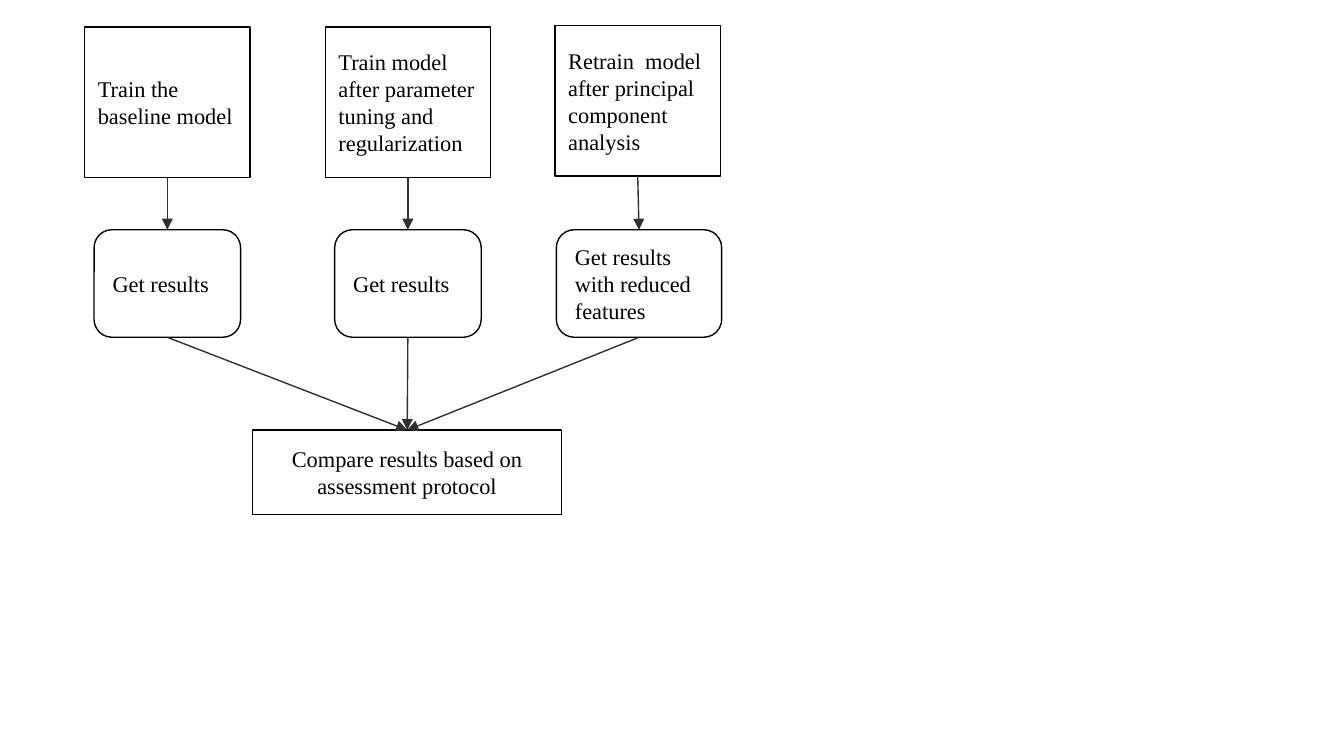
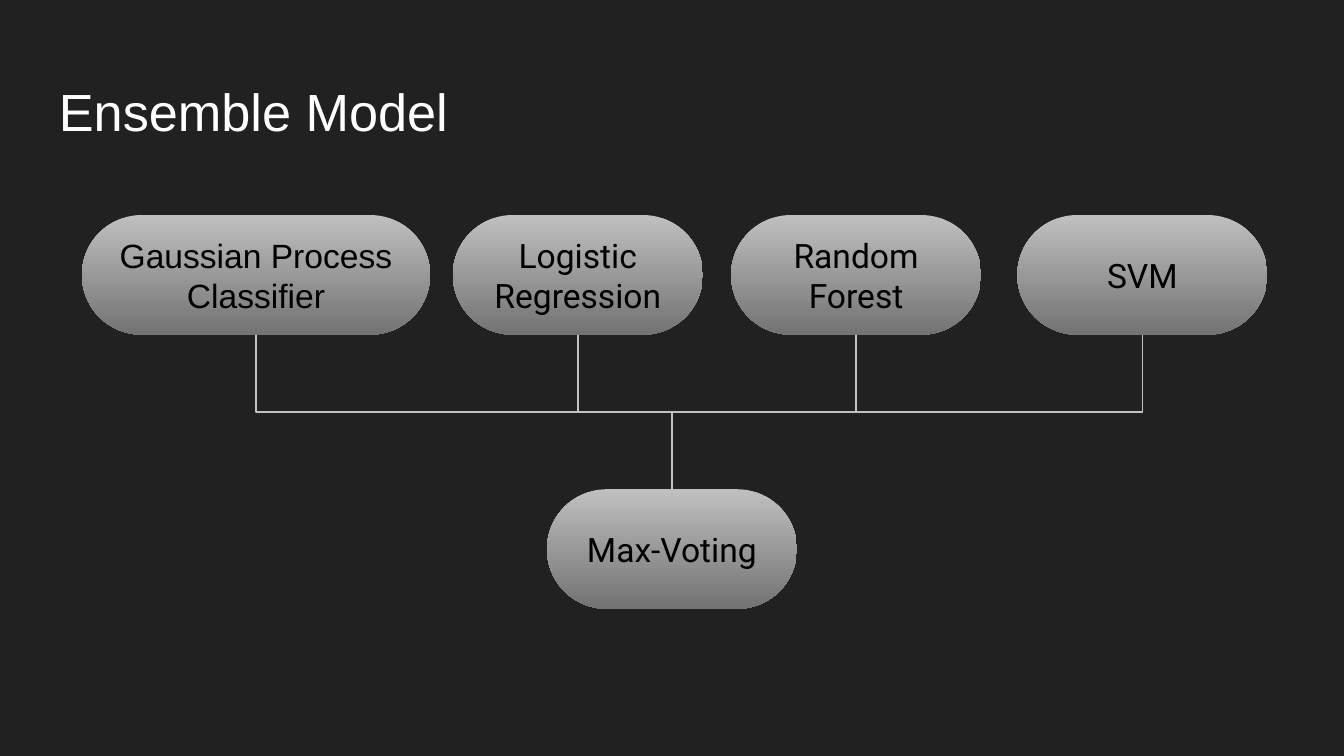
from dataclasses import dataclass

from lxml import etree
from pptx import Presentation
from pptx import util as u
from pptx.dml.color import RGBColor
from pptx.enum import shapes, text
from pptx.oxml.ns import qn


@dataclass(frozen=True)
class Theme:
    paper: str = "FFFFFF"
    night: str = "212121"
    ink: str = "000000"
    title: str = "FFFFFF"
    arrow: str = "303030"
    branch: str = "C2C2C2"
    pill: tuple = ("BFBFBF", "737373")
    serif: str = "Times New Roman"
    sans: str = "Arial"
    round_sans: str = "Roboto"
    step_size: int = 12
    pill_size: int = 18
    title_size: int = 28
    line: float = 0.75
    inset: float = 0.1


THEME = Theme()
WIDTH = 10
HEIGHT = WIDTH * 9 / 16
LEFT, CENTER = text.PP_ALIGN.LEFT, text.PP_ALIGN.CENTER
RECT = shapes.MSO_SHAPE.RECTANGLE
ROUNDED = shapes.MSO_SHAPE.ROUNDED_RECTANGLE
BOTTOM_SITE, TOP_SITE = 2, 0

# Workflow: (left, top, training step), (left, width, result)
COLUMNS = [
    ((0.63, 0.2, "Train the baseline model"), (0.7, 1.09, "Get results")),
    ((2.42, 0.2, "Train model after parameter tuning and regularization"),
     (2.49, 1.09, "Get results")),
    ((4.13, 0.19, "Retrain  model after principal component analysis"),
     (4.14, 1.23, "Get results with reduced features")),
]
COMPARISON = "Compare results based on assessment protocol"
COMPARISON_BOX = (1.88, 3.2, 2.3, 0.63)
TRAIN_WIDTH, TRAIN_HEIGHT = 1.23, 1.12
RESULT_TOP, RESULT_HEIGHT = 1.71, 0.8

# Ensemble: left, width, label, font
ENSEMBLE_TITLE = "Ensemble Model"
TITLE_BOX = (0.34, 0.49, 9.32, 0.63)
MODELS = [
    (0.61, 2.59, "Gaussian Process Classifier", THEME.sans),
    (3.37, 1.86, "Logistic Regression", THEME.round_sans),
    (5.44, 1.86, "Random Forest", THEME.round_sans),
    (7.57, 1.86, "SVM", THEME.round_sans),
]
VOTE = (4.07, 1.86, "Max-Voting", THEME.round_sans)
MODEL_TOP, VOTE_TOP, PILL_HEIGHT = 1.6, 3.64, 0.89


def rgb(colour):
    return RGBColor.from_string(colour)


def inches(*lengths):
    return [u.Inches(length) for length in lengths]


def add_slide(deck, background):
    slide = deck.slides.add_slide(deck.slide_layouts[6])
    slide.background.fill.solid()
    slide.background.fill.fore_color.rgb = rgb(background)
    return slide


def write(shape, words, font, size, colour, align, anchor):
    frame = shape.text_frame
    frame.word_wrap = True
    frame.vertical_anchor = anchor
    for side in ("left", "top", "right", "bottom"):
        setattr(frame, f"margin_{side}", u.Inches(THEME.inset))
    paragraph = frame.paragraphs[0]
    paragraph.text = words
    paragraph.alignment = align
    paragraph.font.name = font
    paragraph.font.size = u.Pt(size)
    paragraph.font.color.rgb = rgb(colour)


def add_node(slide, preset, box, words, font, size, align):
    node = slide.shapes.add_shape(preset, *inches(*box))
    node.shadow.inherit = False
    write(node, words, font, size, THEME.ink, align, text.MSO_ANCHOR.MIDDLE)
    return node


def add_step(slide, preset, box, words, align=LEFT):
    step = add_node(slide, preset, box, words, THEME.serif, THEME.step_size, align)
    step.fill.background()
    step.line.color.rgb = rgb(THEME.ink)
    step.line.width = u.Pt(THEME.line)
    return step


def add_pill(slide, left, width, words, font, top):
    pill = add_node(slide, ROUNDED, (left, top, width, PILL_HEIGHT), words,
                    font, THEME.pill_size, CENTER)
    pill.adjustments[0] = 0.5
    pill.line.fill.background()
    pill.fill.gradient()
    pill.fill.gradient_angle = 270
    for position, (stop, colour) in enumerate(zip(pill.fill.gradient_stops, THEME.pill)):
        stop.position = position
        stop.color.rgb = rgb(colour)


def add_line(slide, kind, ends, colour):
    line = slide.shapes.add_connector(kind, *inches(*ends))
    line.line.color.rgb = rgb(colour)
    line.line.width = u.Pt(THEME.line)
    etree.SubElement(line._element.spPr, qn("a:effectLst"))
    return line


def add_arrow(slide, upper, lower):
    arrow = add_line(slide, shapes.MSO_CONNECTOR.STRAIGHT, (0, 0, 1, 1), THEME.arrow)
    arrow.begin_connect(upper, BOTTOM_SITE)
    arrow.end_connect(lower, TOP_SITE)
    etree.SubElement(arrow.line._get_or_add_ln(), qn("a:tailEnd"), type="triangle")


def add_branch(slide, start, end):
    """Elbow that leaves start vertically: a level elbow turned by a quarter."""
    (x1, y1), (x2, y2) = start, end
    mid_x, mid_y = (x1 + x2) / 2, (y1 + y2) / 2
    leftward = x2 < x1
    reach = (y1 - y2) / 2 * (1 if leftward else -1)
    spread = abs(x2 - x1) / 2
    branch = add_line(slide, shapes.MSO_CONNECTOR.ELBOW,
                      (mid_x + reach, mid_y - spread, mid_x - reach, mid_y + spread),
                      THEME.branch)
    quarter_turns = 1 if leftward else 3
    branch._element.spPr.find(qn("a:xfrm")).set("rot", str(quarter_turns * 90 * 60000))


def build_workflow(deck):
    slide = add_slide(deck, THEME.paper)
    trainings = [add_step(slide, RECT, (left, top, TRAIN_WIDTH, TRAIN_HEIGHT), words)
                 for (left, top, words), _ in COLUMNS]
    results = [add_step(slide, ROUNDED, (left, RESULT_TOP, width, RESULT_HEIGHT), words)
               for _, (left, width, words) in COLUMNS]
    comparison = add_step(slide, RECT, COMPARISON_BOX, COMPARISON, CENTER)
    for training, result in zip(trainings, results):
        add_arrow(slide, training, result)
    for result in results:
        add_arrow(slide, result, comparison)


def build_ensemble(deck):
    slide = add_slide(deck, THEME.night)
    title = slide.shapes.add_textbox(*inches(*TITLE_BOX))
    write(title, ENSEMBLE_TITLE, THEME.sans, THEME.title_size, THEME.title,
          LEFT, text.MSO_ANCHOR.TOP)
    for left, width, words, font in MODELS:
        add_pill(slide, left, width, words, font, MODEL_TOP)
        add_branch(slide, (WIDTH / 2, VOTE_TOP),
                   (left + width / 2, MODEL_TOP + PILL_HEIGHT))
    add_pill(slide, *VOTE, VOTE_TOP)


def main():
    deck = Presentation()
    deck.slide_width, deck.slide_height = inches(WIDTH, HEIGHT)
    build_workflow(deck)
    build_ensemble(deck)
    deck.save("out.pptx")


if __name__ == "__main__":
    main()
